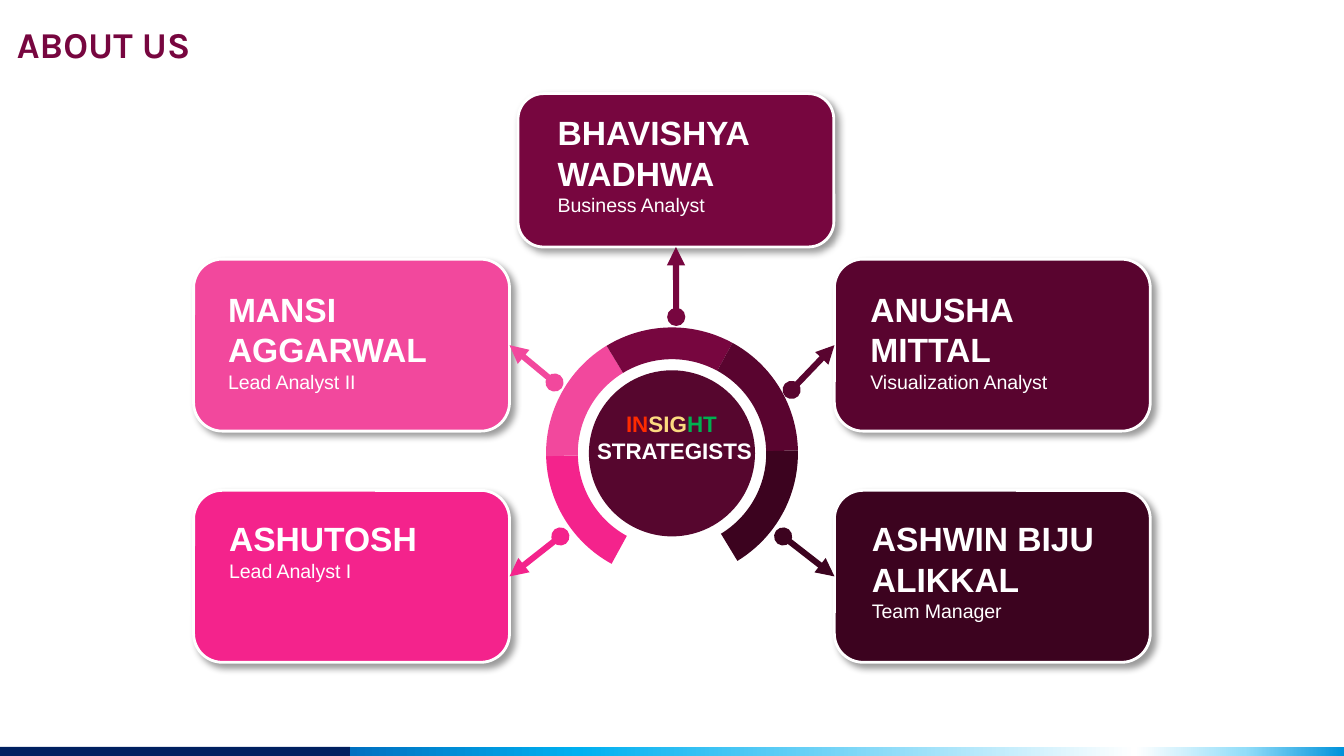
from dataclasses import dataclass
from math import cos, radians, sin, tan

from lxml.etree import SubElement
from pptx import Presentation
from pptx.dml.color import RGBColor
from pptx.enum.shapes import MSO_CONNECTOR, MSO_SHAPE
from pptx.enum.text import MSO_ANCHOR, MSO_AUTO_SIZE, PP_ALIGN
from pptx.oxml.ns import qn
from pptx.util import Cm, Pt

WHITE = RGBColor(0xFF, 0xFF, 0xFF)
NAVY = RGBColor(0x00, 0x20, 0x60)
ROSE = RGBColor(0xF4, 0x23, 0x8C)
PINK = RGBColor(0xF2, 0x48, 0x9D)
BERRY = RGBColor(0x77, 0x06, 0x3F)
WINE = RGBColor(0x59, 0x04, 0x2F)
PLUM = RGBColor(0x3C, 0x03, 0x1F)
HUB = RGBColor(0x56, 0x06, 0x2E)
RED = RGBColor(0xFE, 0x2B, 0x00)
YELLOW = RGBColor(0xFC, 0xDA, 0x80)
GREEN = RGBColor(0x00, 0xB0, 0x50)

BAR_STOPS = [
    (0, RGBColor(0x00, 0x92, 0xDA)),
    (10, RGBColor(0x94, 0xDE, 0xF9)),
    (21, WHITE),
    (77, RGBColor(0x00, 0xB0, 0xF0)),
    (100, RGBColor(0x00, 0x70, 0xC0)),
]
TOP, LEFT, BOTTOM, RIGHT = range(4)
CENTER_X, CENTER_Y = 12.7, 8.57
OUTER, INNER, HUB_RADIUS = 2.38, 1.78, 1.57
RING_START, RING_STEP, RING_TILT = 90, 60, 28.7


@dataclass
class Member:
    name: str
    role: str
    color: RGBColor
    x: float
    y: float
    dot: tuple[float, float]
    side: int
    text_x: float
    text_y: float
    height: float = 3.25
    text_height: float = 2.24


MEMBERS = [
    Member("ASHUTOSH", "Lead Analyst I", ROSE, 3.66, 9.27, (10.59, 10.14), RIGHT,
           4.08, 9.67, text_height=1.93),
    Member("MANSI AGGARWAL", "Lead Analyst II", PINK, 3.66, 4.9, (10.48, 7.23), RIGHT,
           4.06, 5.34),
    Member("BHAVISHYA WADHWA", "Business Analyst", BERRY, 9.79, 1.77, (12.78, 5.99),
           BOTTOM, 10.29, 2, height=2.9),
    Member("ANUSHA MITTAL", "Visualization Analyst", WINE, 15.77, 4.9, (14.96, 7.37),
           LEFT, 16.2, 5.34),
    Member("ASHWIN BIJU ALIKKAL", "Team Manager", PLUM, 15.77, 9.27, (14.8, 10.14), LEFT,
           16.23, 9.67),
]


def add_filled(slide, kind, x: float, y: float, w: float, h: float, color: RGBColor):
    sp = slide.shapes.add_shape(kind, Cm(x), Cm(y), Cm(w), Cm(h))
    paint(sp, color)
    return sp


def paint(sp, color: RGBColor) -> None:
    sp.shadow.inherit = False
    sp.fill.solid()
    sp.fill.fore_color.rgb = color
    sp.line.fill.background()


def add_footer(slide) -> None:
    add_filled(slide, MSO_SHAPE.RECTANGLE, 0, 14.12, 6.62, 0.17, NAVY)
    bar = add_filled(slide, MSO_SHAPE.RECTANGLE, 6.62, 14.12, 18.78, 0.17, WHITE)
    bar.fill.gradient()
    bar.fill.gradient_angle = 180
    stops = bar._element.spPr.find(qn("a:gradFill")).find(qn("a:gsLst"))
    for stop in list(stops):
        stops.remove(stop)
    for position, color in BAR_STOPS:
        stop = SubElement(stops, qn("a:gs"), pos=str(position * 1000))
        SubElement(stop, qn("a:srgbClr"), val=str(color))


def add_title(slide, text: str) -> None:
    title = slide.shapes.title
    title.left, title.top, title.width, title.height = Cm(0.32), Cm(0.35), Cm(21.89), Cm(0.91)
    tf = title.text_frame
    tf.text = text
    tf.auto_size = MSO_AUTO_SIZE.NONE
    tf.vertical_anchor = MSO_ANCHOR.BOTTOM
    tf.margin_left = tf.margin_top = tf.margin_right = tf.margin_bottom = 0
    p = tf.paragraphs[0]
    p.alignment = PP_ALIGN.LEFT
    p.line_spacing = 0.9
    format_run(p.runs[0], 19.5, BERRY, True, "Karla")


def format_run(r, size: float, color: RGBColor, bold: bool, font: str = "Arial") -> None:
    r.font.size = Pt(size)
    r.font.color.rgb = color
    r.font.bold = bold
    r.font.name = font


def ring_point(radius: float, degrees: float, pull: float = 0) -> tuple[int, int]:
    a = radians(degrees)
    return (Cm(CENTER_X + radius * (cos(a) - pull * sin(a))),
            Cm(CENTER_Y + radius * (sin(a) + pull * cos(a))))


def arc_points(radius: float, start: float, end: float) -> list[tuple[int, int]]:
    pull = 4 / 3 * tan(radians(end - start) / 4)
    return [ring_point(radius, start), ring_point(radius, start, pull),
            ring_point(radius, end, -pull), ring_point(radius, end)]


def add_ring_segment(slide, start: float, color: RGBColor) -> None:
    end = start + RING_STEP
    outer = arc_points(OUTER, start, end)
    inner = arc_points(INNER, end, start)
    builder = slide.shapes.build_freeform(*outer[0])
    crest = ring_point(OUTER, (start + end) / 2)
    builder.add_line_segments([crest, outer[-1], inner[0], inner[-1]], close=True)
    sp = builder.convert_to_shape()
    paint(sp, color)
    outline = next(sp._element.iter(qn("a:path")))
    for step in list(outline):
        outline.remove(step)
    for tag, points in [("a:moveTo", outer[:1]), ("a:cubicBezTo", outer[1:]),
                        ("a:lnTo", inner[:1]), ("a:cubicBezTo", inner[1:]), ("a:close", [])]:
        step = SubElement(outline, qn(tag))
        for x, y in points:
            SubElement(step, qn("a:pt"), x=str(x - sp.left), y=str(y - sp.top))
    tilt = radians(RING_TILT)
    dx = sp.left + sp.width / 2 - Cm(CENTER_X)
    dy = sp.top + sp.height / 2 - Cm(CENTER_Y)
    sp.left = round(Cm(CENTER_X) + dx * cos(tilt) - dy * sin(tilt) - sp.width / 2)
    sp.top = round(Cm(CENTER_Y) + dx * sin(tilt) + dy * cos(tilt) - sp.height / 2)
    sp.rotation = RING_TILT


def add_card(slide, member: Member):
    card = add_filled(slide, MSO_SHAPE.ROUNDED_RECTANGLE, member.x, member.y,
                      5.97, member.height, member.color)
    card.line.color.rgb = WHITE
    card.line.width = Pt(1.5)
    effects = card._element.spPr.find(qn("a:effectLst"))
    shadow = SubElement(effects, qn("a:outerShdw"), blurRad=str(Pt(4)), dist=str(Pt(3)),
                        dir=str(45 * 60000), algn="tl", rotWithShape="0")
    black = SubElement(shadow, qn("a:srgbClr"), val="000000")
    SubElement(black, qn("a:alpha"), val="40000")
    return card


def add_arrow(slide, member: Member, card) -> None:
    x, y = (Cm(v) for v in member.dot)
    arrow = slide.shapes.add_connector(MSO_CONNECTOR.STRAIGHT, x, y, x, y)
    arrow.end_connect(card, member.side)
    arrow.line.color.rgb = member.color
    arrow.line.width = Pt(3.25)
    ln = arrow.line._get_or_add_ln()
    SubElement(ln, qn("a:headEnd"), type="oval")
    SubElement(ln, qn("a:tailEnd"), type="triangle")
    SubElement(arrow._element.spPr, qn("a:effectLst"))


def add_text_box(slide, x: float, y: float, w: float, h: float):
    tf = slide.shapes.add_textbox(Cm(x), Cm(y), Cm(w), Cm(h)).text_frame
    tf.word_wrap = True
    tf.auto_size = MSO_AUTO_SIZE.SHAPE_TO_FIT_TEXT
    return tf


def add_member_text(slide, member: Member) -> None:
    tf = add_text_box(slide, member.text_x, member.text_y, 4.98, member.text_height)
    tf.text = f"{member.name}\n{member.role}"
    name, role = tf.paragraphs
    format_run(name.runs[0], 18, WHITE, True)
    format_run(role.runs[0], 10.5, WHITE, False)


def add_team_name(slide) -> None:
    tf = add_text_box(slide, 10.77, 7.63, 3.96, 1.27)
    tf.text = "INSIGHT\nSTRATEGISTS"
    first, second = tf.paragraphs
    first.text = ""
    for p in (first, second):
        p.alignment = PP_ALIGN.CENTER
    for text, color in [("IN", RED), ("SIG", YELLOW), ("HT ", GREEN)]:
        r = first.add_run()
        r.text = text
        format_run(r, 12, color, True)
    format_run(second.runs[0], 12, WHITE, True)


def main() -> None:
    prs = Presentation()
    prs.slide_width, prs.slide_height = Cm(25.4), Cm(14.29)
    slide = prs.slides.add_slide(prs.slide_layouts[5])
    add_footer(slide)
    add_title(slide, "ABOUT US")
    for i, member in enumerate(MEMBERS):
        add_ring_segment(slide, RING_START + i * RING_STEP, member.color)
    add_filled(slide, MSO_SHAPE.OVAL, CENTER_X - HUB_RADIUS, CENTER_Y - HUB_RADIUS,
               2 * HUB_RADIUS, 2 * HUB_RADIUS, HUB)
    cards = [add_card(slide, member) for member in MEMBERS]
    for member, card in zip(MEMBERS, cards):
        add_arrow(slide, member, card)
    for member in MEMBERS:
        add_member_text(slide, member)
    add_team_name(slide)
    prs.save("out.pptx")


if __name__ == "__main__":
    main()
